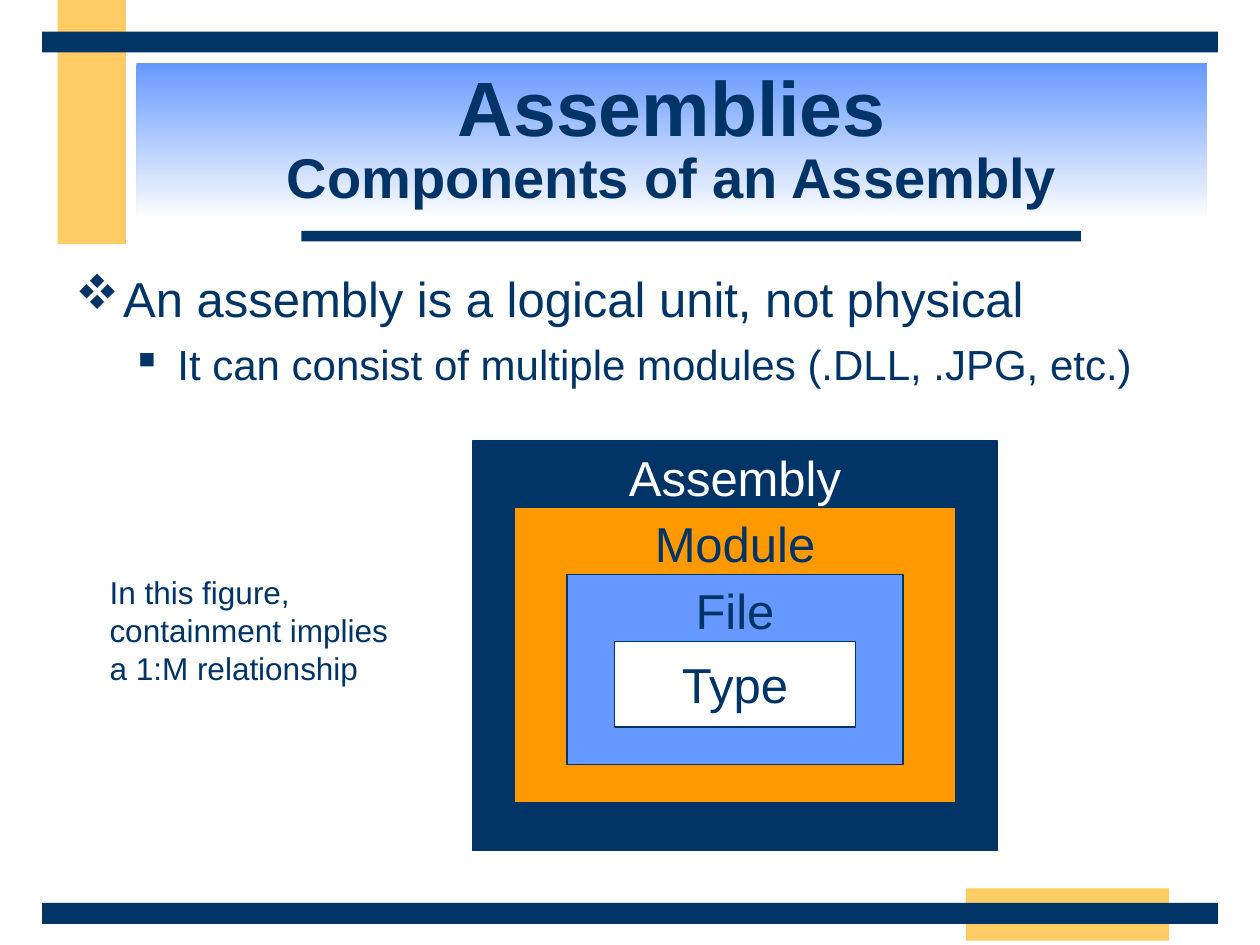
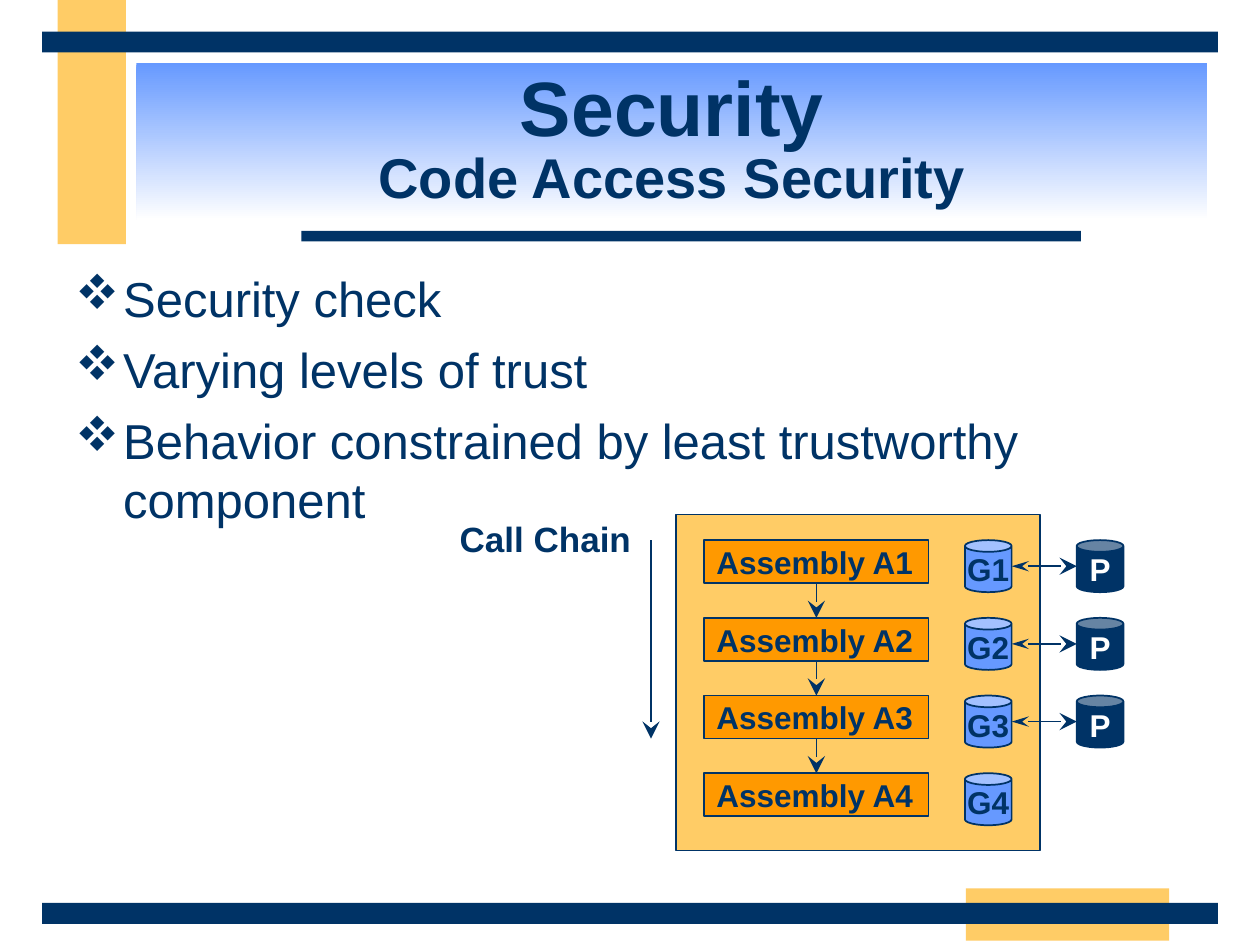
from lxml import etree
from pptx import Presentation, util as u
from pptx.dml.color import RGBColor
from pptx.enum import shapes as s, text as t
from pptx.oxml.ns import qn

COLORS = {"navy": "003366", "sand": "FFCC66", "orange": "FF9900",
          "blue": "6699FF", "white": "FFFFFF"}
RGB = {name: RGBColor.from_string(value) for name, value in COLORS.items()}
FONT, MARK_FONT = "Arial", "Wingdings"
COLUMNS = 120  # square cells, 90 rows to the slide
RECT, CAN = s.MSO_SHAPE.RECTANGLE, s.MSO_SHAPE.CAN
LEFT, CENTER = t.PP_ALIGN.LEFT, t.PP_ALIGN.CENTER
TOP, MIDDLE = t.MSO_ANCHOR.TOP, t.MSO_ANCHOR.MIDDLE
TIP_WIDTHS = {"headEnd": "med", "tailEnd": "lg"}

prs = Presentation()
prs.slide_width, prs.slide_height = u.Inches(10), u.Inches(7.5)
CELL = prs.slide_width / COLUMNS


def add_box(shapes, kind, place, words="", fill=None, line=None, size=18,
            color="navy", bold=False, align=CENTER, anchor=MIDDLE, wrap=False):
    """Add a shape, or a text box if kind is None; place is in grid cells."""
    place = [round(cells * CELL) for cells in place]
    if kind is None:
        box = shapes.add_textbox(*place)
    else:
        box = shapes.add_shape(kind, *place)
        box.shadow.inherit = False
        if fill:
            box.fill.solid()
            box.fill.fore_color.rgb = RGB[fill]
        if line:
            box.line.color.rgb = RGB["navy"]
            box.line.width = u.Pt(line)
        else:
            box.line.fill.background()
    frame = box.text_frame
    frame.word_wrap, frame.vertical_anchor = wrap, anchor
    if words:
        paragraph = frame.paragraphs[0]
        paragraph.text, paragraph.alignment = words, align
        font = paragraph.font
        font.name, font.size, font.bold = FONT, u.Pt(size), bold
        font.color.rgb = RGB[color]
    return box


def add_arrow(shapes, start, end, tips=("tailEnd",)):
    arrow = shapes.add_connector(s.MSO_CONNECTOR.STRAIGHT,
                                 *[round(cells * CELL) for cells in (*start, *end)])
    arrow.line.color.rgb, arrow.line.width = RGB["navy"], u.Pt(1)
    outline = arrow._element.spPr.find(qn("a:ln"))
    for tip in tips:
        etree.SubElement(outline, qn("a:" + tip), type="stealth",
                         w=TIP_WIDTHS[tip], len="lg")
    etree.SubElement(arrow._element.spPr, qn("a:effectLst"))
    return arrow


BANDS = [
    ("sand", (5.5, 0, 6.5, 23.25)),
    ("sand", (92, 84.6, 19.35, 5)),
    ("navy", (28.7, 22, 74.25, 1)),
    ("navy", (4, 86, 112, 2)),
    ("navy", (4, 3, 112, 2)),
]
# By outline level: mark (Wingdings diamond, square), its size in percent,
# margin, hanging indent, text size, space before
LEVELS = [("v", 100, 0.38, 0.38, 28, 7), ("n", 55, 0.81, 0.31, 24, 6)]
CONTENT = [
    ("Assemblies", "Components of an Assembly",
     [(0, "An assembly is a logical unit, not physical"),
      (1, "It can consist of multiple modules (.DLL, .JPG, etc.)")]),
    ("Security", "Code Access Security",
     [(0, "Security check"),
      (0, "Varying levels of trust"),
      (0, "Behavior constrained by least trustworthy component")]),
]

# Bands, title and outline of each slide
slides = []
for topic, subtopic, points in CONTENT:
    slide = prs.slides.add_slide(prs.slide_layouts[6])
    slides.append(slide.shapes)
    for color, place in BANDS:
        add_box(slide.shapes, RECT, place, fill=color)

    title = add_box(slide.shapes, RECT, (13, 6, 102, 15), wrap=True)
    title.fill.gradient()
    title.fill.gradient_angle = 270
    for stop, color, position in zip(title.fill.gradient_stops, ("blue", "white"), (0, 1)):
        stop.color.rgb, stop.position = RGB[color], position
    heading = title.text_frame.paragraphs[0]
    heading.alignment, heading.line_spacing = CENTER, 0.85
    heading.font.name, heading.font.bold = FONT, True
    heading.font.color.rgb = RGB["navy"]
    topic_run = heading.add_run()
    topic_run.text, topic_run.font.size = topic, u.Pt(44)
    heading.add_line_break()
    subtopic_run = heading.add_run()
    subtopic_run.text, subtopic_run.font.size = subtopic, u.Pt(32)

    outline = add_box(slide.shapes, None, (6, 25, 108, 59), anchor=TOP, wrap=True).text_frame
    for index, (level, words) in enumerate(points):
        mark, percent, margin, hang, size, before = LEVELS[level]
        point = outline.add_paragraph() if index else outline.paragraphs[0]
        point.text, point.level = words, level
        props = point._p.get_or_add_pPr()
        props.set("marL", str(u.Inches(margin)))
        props.set("indent", str(-u.Inches(hang)))
        mark_color = etree.SubElement(props, qn("a:buClr"))
        etree.SubElement(mark_color, qn("a:srgbClr"), val=COLORS["navy"])
        etree.SubElement(props, qn("a:buSzPct"), val=str(percent * 1000))
        etree.SubElement(props, qn("a:buFont"), typeface=MARK_FONT, charset="2")
        etree.SubElement(props, qn("a:buChar"), char=mark)
        if index:
            point.space_before = u.Pt(before)
        point.font.name, point.font.size = FONT, u.Pt(size)
        point.font.color.rgb = RGB["navy"]

# Assemblies: containers nested around one centre line
assemblies, security = slides
NEST_CENTER, NEST_TOP, NEST_STEP = 70, 42, 6.36
CONTAINERS = [
    ("Assembly", 50, 39, "navy", "white", TOP),
    ("Module", 42, 28.1, "orange", "navy", TOP),
    ("File", 32, 18.1, "blue", "navy", TOP),
    ("Type", 23, 8.15, "white", "navy", MIDDLE),
]
nest = assemblies.add_group_shape().shapes
for depth, (name, width, height, fill, color, anchor) in enumerate(CONTAINERS):
    place = (NEST_CENTER - width / 2, NEST_TOP + depth * NEST_STEP, width, height)
    add_box(nest, RECT, place, name, fill, 0.75, 28, color, anchor=anchor)
add_box(assemblies, None, (9.25, 54, 29.75, 12),
        "In this figure, \vcontainment implies \va 1:M relationship", align=LEFT, anchor=TOP)

# Security: call chain with grants (G) and permissions (P)
ROW_TOP, ROW_STEP, CALLS = 51.45, 7.4, 4
CALL_X, CALL_W, CALL_H = 67.05, 21.4, 4.1
GRANT_X, PERMISSION_X, CAN_W, CAN_H = 91.9, 102.55, 4.45, 4.95
add_box(security, RECT, (64.35, 49, 34.7, 32), fill="sand", line=1)
caller = None
for row in range(CALLS):
    y = ROW_TOP + row * ROW_STEP
    call = add_box(security, RECT, (CALL_X, y, CALL_W, CALL_H), f"Assembly A{row + 1}",
                   "orange", 1, bold=True, align=LEFT)
    add_box(security, CAN, (GRANT_X, y, CAN_W, CAN_H), f"G{row + 1}", "blue", 1, bold=True)
    if row < CALLS - 1:
        add_box(security, CAN, (PERMISSION_X, y, CAN_W, CAN_H), "P", "navy", 1,
                color="white", bold=True)
        middle = y + CAN_H / 2
        add_arrow(security, (GRANT_X + CAN_W, middle), (PERMISSION_X, middle), TIP_WIDTHS)
    if caller:
        x = CALL_X + CALL_W / 2
        step = add_arrow(security, (x, y - ROW_STEP + CALL_H), (x, y))
        step.begin_connect(caller, 2)
        step.end_connect(call, 0)
    caller = call
add_arrow(security, (62, ROW_TOP), (62, ROW_TOP + 2 * ROW_STEP + CALL_H))
add_box(security, None, (42.6, 48.7, 18.7, 5.25), "Call Chain", size=20, bold=True, anchor=TOP)

prs.save("out.pptx")
